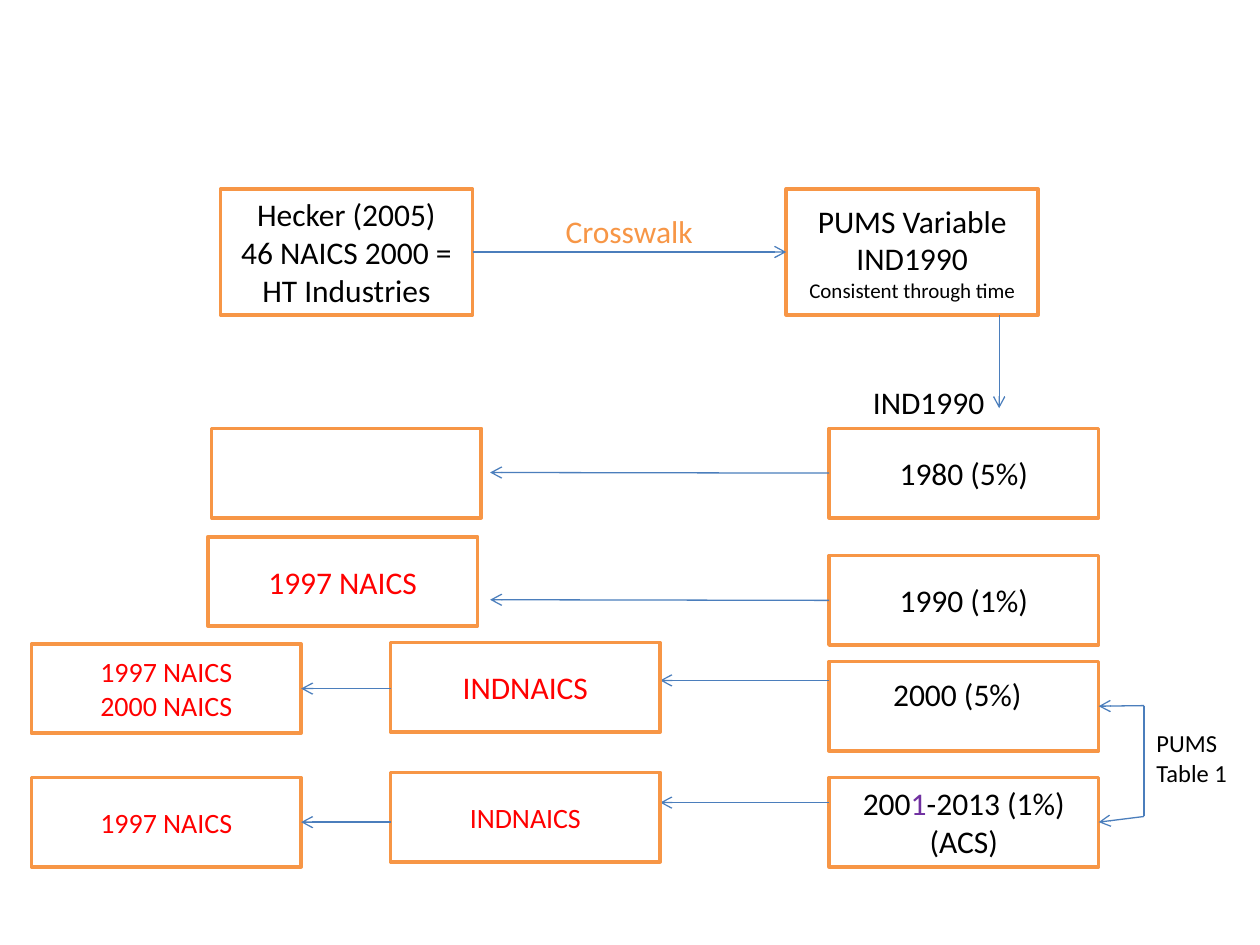
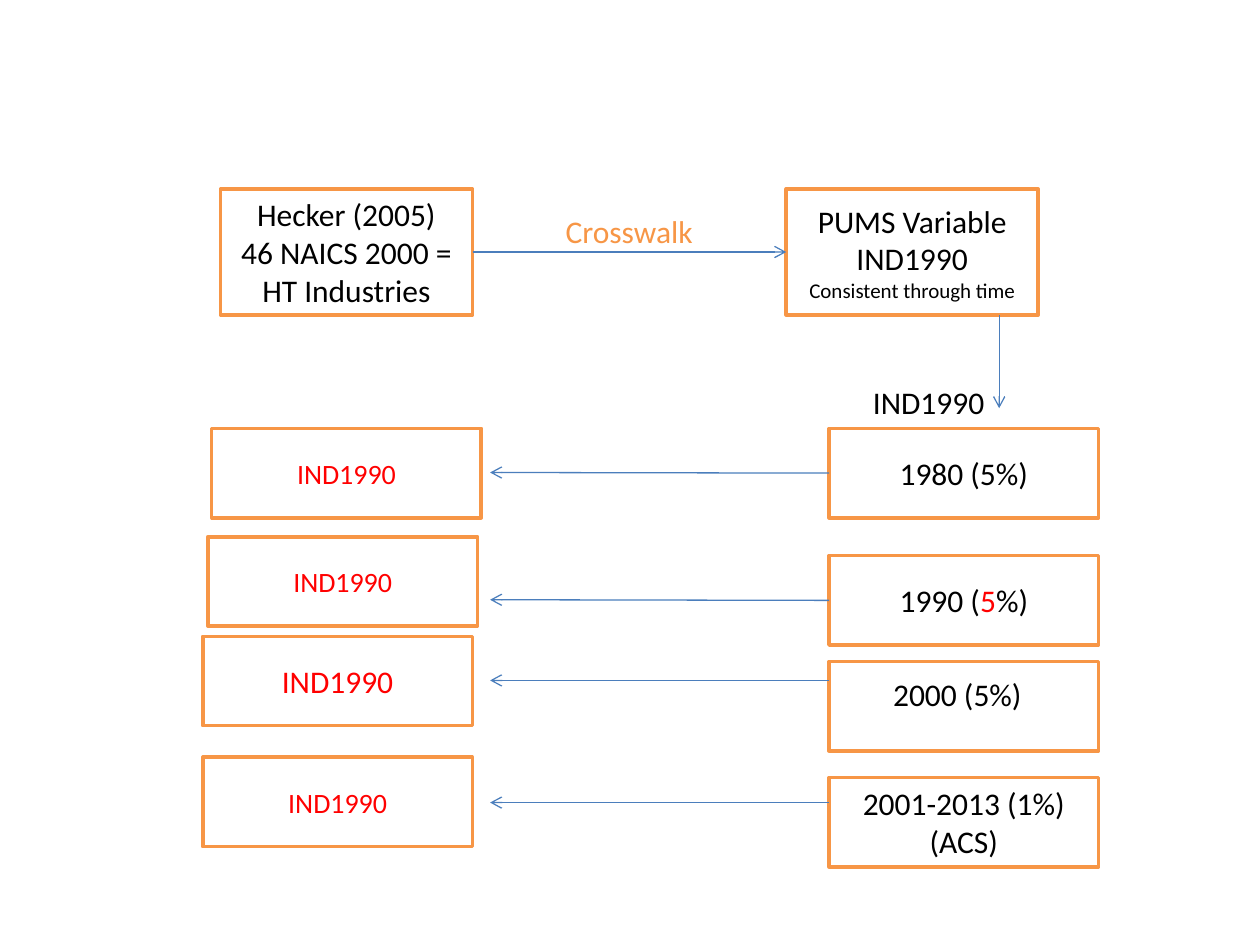
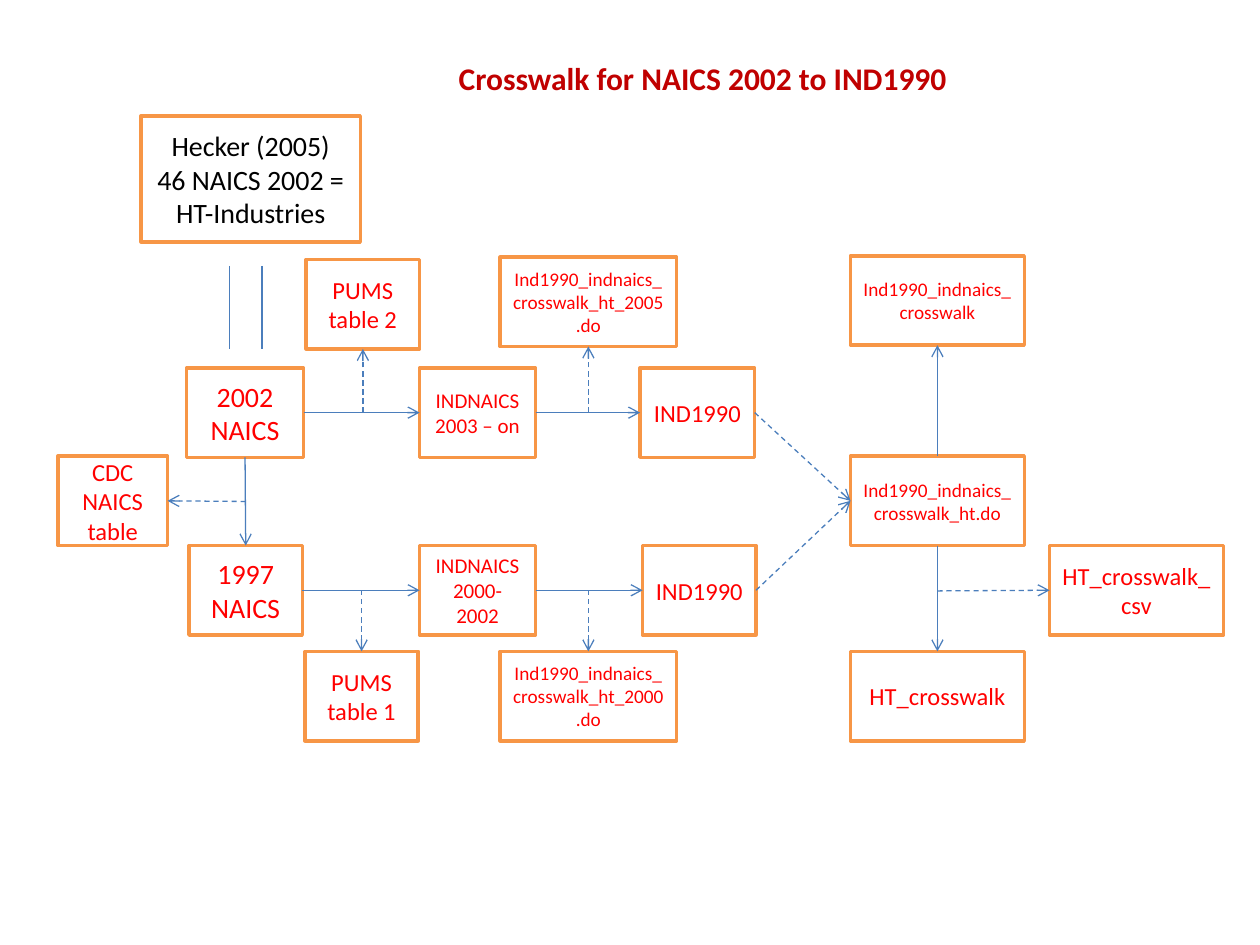
from dataclasses import dataclass

from lxml.etree import SubElement
from pptx import Presentation
from pptx.dml.color import RGBColor
from pptx.enum.dml import MSO_LINE
from pptx.enum.shapes import MSO_CONNECTOR, MSO_SHAPE
from pptx.enum.text import MSO_ANCHOR, MSO_AUTO_SIZE, PP_ALIGN
from pptx.oxml.ns import qn
from pptx.util import Inches, Pt


@dataclass(frozen=True)
class Theme:
    font: str = "Calibri"
    ink: str = "000000"
    paper: str = "FFFFFF"
    frame: str = "F79646"
    arrow: str = "4B7EBC"
    key: str = "FF0000"
    mark: str = "7030A0"
    title: str = "C00000"
    large: int = 18
    medium: int = 16
    small: int = 14
    note: int = 12
    tiny: int = 11
    edge: float = 2
    thin: float = 0.75


THEME = Theme()
WIDTH, HEIGHT = Inches(10), Inches(7.5)
COLS, ROWS = 10, 7.5
TALL = 0.71   # rows in a flow box
WIDE = 2.14   # columns in a year box
YEAR_COL = 6.58
YEAR_ROWS = (3.4, 4.41, 5.25, 6.17)
LINK_ROWS = (5.4, 6.37)
LEFT_STOP = 3.89
TOP, LEFT, BOTTOM, RIGHT = range(4)


def col(n):
    return round(n * WIDTH / COLS)


def row(n):
    return round(n * HEIGHT / ROWS)


def area(x, y, w, h):
    return col(x), row(y), col(w), row(h)


def rgb(code):
    return RGBColor.from_string(code)


def write(frame, lines, size, color, align):
    """Fill a frame; a line is a string or a list of (text, colour) runs."""
    for i, line in enumerate(lines):
        para = frame.paragraphs[0] if i == 0 else frame.add_paragraph()
        para.alignment = align
        para.font.name, para.font.size = THEME.font, Pt(size)
        para.font.color.rgb = rgb(color)
        if isinstance(line, str):
            para.text = line
            continue
        for text, tint in line:
            run = para.add_run()
            run.text = text
            run.font.color.rgb = rgb(tint)


def add_box(slide, x, y, w, h, *lines, size=THEME.large, color=THEME.key):
    box = slide.shapes.add_shape(MSO_SHAPE.RECTANGLE, *area(x, y, w, h))
    box.shadow.inherit = False
    box.fill.solid()
    box.fill.fore_color.rgb = rgb(THEME.paper)
    box.line.color.rgb = rgb(THEME.frame)
    box.line.width = Pt(THEME.edge)
    frame = box.text_frame
    frame.word_wrap = True
    frame.vertical_anchor = MSO_ANCHOR.MIDDLE
    write(frame, lines, size, color, PP_ALIGN.CENTER)
    return box


def add_label(slide, x, y, w, h, *lines, size=THEME.large, color=THEME.ink):
    frame = slide.shapes.add_textbox(*area(x, y, w, h)).text_frame
    frame.word_wrap = False
    write(frame, lines, size, color, PP_ALIGN.LEFT)


def add_link(slide, start, end, dash=False, head=True):
    """Draw a line; each end is a (column, row) point or a (box, side) pair."""
    ends = [p if isinstance(p[0], (int, float)) else (0, 0) for p in (start, end)]
    (x1, y1), (x2, y2) = ends
    line = slide.shapes.add_connector(
        MSO_CONNECTOR.STRAIGHT, col(x1), row(y1), col(x2), row(y2))
    for spot, join in ((start, line.begin_connect), (end, line.end_connect)):
        if not isinstance(spot[0], (int, float)):
            join(*spot)
    line.line.color.rgb = rgb(THEME.arrow)
    line.line.width = Pt(THEME.thin)
    if dash:
        line.line.dash_style = MSO_LINE.DASH
    if head:
        SubElement(line.line._get_or_add_ln(), qn("a:tailEnd"), type="arrow")
    SubElement(line._element.spPr, qn("a:effectLst"))


def add_title(slide, text):
    title = slide.shapes.title
    title.left, title.top, title.width, title.height = area(3.54, 0.42, 4.11, 0.4)
    frame = title.text_frame
    frame.word_wrap = False
    frame.auto_size = MSO_AUTO_SIZE.NONE
    frame.vertical_anchor = MSO_ANCHOR.MIDDLE
    write(frame, [text], THEME.large, THEME.title, PP_ALIGN.LEFT)
    frame.paragraphs[0].font.bold = True


def add_source(slide):
    """Draw the top row, from the industry list to the census variable."""
    hecker = add_box(slide, 1.75, 1.5, 2, 1, "Hecker (2005)",
                     "46 NAICS 2000 = HT Industries", color=THEME.ink)
    census = add_box(slide, 6.24, 1.5, 2, 1, "PUMS Variable", "IND1990",
                     "Consistent through time", color=THEME.ink)
    census.text_frame.paragraphs[-1].font.size = Pt(THEME.note)
    add_link(slide, (hecker, RIGHT), (census, LEFT))
    add_label(slide, 4.39, 1.63, 1.22, 0.4, "Crosswalk", color=THEME.frame)
    add_label(slide, 6.83, 2.99, 1.1, 0.4, "IND1990")
    add_link(slide, (7.93, 2.5), (7.93, 3.24))


def add_years(slide, nineties, survey, stop):
    """Draw the year boxes and their arrows; the lower two end at stop."""
    texts = (["1980 (5%)"], [nineties], [], [survey, "(ACS)"])
    boxes = [add_box(slide, YEAR_COL, y, WIDE, TALL, *text, color=THEME.ink)
             for y, text in zip(YEAR_ROWS, texts)]
    add_label(slide, 6.99, 5.31, 1.23, 0.4, "2000 (5%)")
    for box, y in zip(boxes, (3.75, 4.76)):
        add_link(slide, (box, LEFT), (LEFT_STOP, y))
    for y in LINK_ROWS:
        add_link(slide, (YEAR_COL, y), (stop, y))
    return boxes


def draw_naics(slide):
    add_source(slide)
    survey = [("200", THEME.ink), ("1", THEME.mark), ("-2013 (1%)", THEME.ink)]
    years = add_years(slide, "1990 (1%)", survey, 5.24)
    add_box(slide, 1.68, 3.4, WIDE, TALL)
    add_box(slide, 1.65, 4.26, WIDE, TALL, "1997 NAICS")
    flows = (
        (5.1, THEME.large, 5.11, ["1997 NAICS", "2000 NAICS"]),
        (6.13, THEME.medium, 6.17, ["1997 NAICS"]),
    )
    for y, size, end, codes in flows:
        add_box(slide, 3.1, y, WIDE, TALL, "INDNAICS", size=size)
        base = add_box(slide, 0.25, end, WIDE, TALL, *codes, size=THEME.medium)
        add_link(slide, (3.1, end + TALL / 2), (base, RIGHT))
    upper, lower = (9.08, 5.6), (9.08, 6.48)
    add_link(slide, upper, lower, head=False)
    add_link(slide, upper, (years[2], RIGHT))
    add_link(slide, lower, (years[3], RIGHT))
    add_label(slide, 9.08, 5.73, 0.77, 0.57, "PUMS", "Table 1", size=THEME.small)


def draw_ind(slide):
    add_source(slide)
    nineties = [("1990 (", THEME.ink), ("5", THEME.key), ("%)", THEME.ink)]
    add_years(slide, nineties, "2001-2013 (1%)", LEFT_STOP)
    places = ((1.68, 3.4, THEME.medium), (1.65, 4.26, THEME.medium),
              (1.61, 5.05, THEME.large), (1.61, 6.01, THEME.medium))
    for x, y, size in places:
        add_box(slide, x, y, WIDE, TALL, "IND1990", size=size)


def add_track(slide, y, code, span, file_row, table, do_file, side):
    """Draw one row of code, class and variable, with its files on one side."""
    mid = y + TALL / 2
    (code_x, code_w), (ind_x, ind_w), table_x = code, span, table[0]
    start = add_box(slide, code_x, y, code_w, TALL, table[1], size=THEME.medium)
    group = add_box(slide, 3.33, y, 0.92, TALL, "INDNAICS", table[2], size=THEME.note)
    ind = add_box(slide, ind_x, y, ind_w, TALL, "IND1990", size=THEME.small)
    add_link(slide, (start, RIGHT), (group, LEFT))
    add_link(slide, (group, RIGHT), (ind, LEFT))
    source = add_box(slide, table_x, file_row, 0.9, TALL, table[3], size=THEME.small)
    script = add_box(slide, 3.97, do_file[0], 1.4, TALL, do_file[1], size=THEME.tiny)
    add_link(slide, (table_x + 0.45, mid), (source, side), dash=True)
    add_link(slide, (4.67, mid), (script, side), dash=True)
    return start, ind


def draw_files(slide):
    add_title(slide, "Crosswalk for NAICS 2002 to IND1990")
    add_box(slide, 1.12, 0.92, 1.74, 1, "Hecker (2005)", "46 NAICS 2002 =",
            "HT-Industries", size=THEME.medium, color=THEME.ink)
    for x in (1.82, 2.08):
        add_link(slide, (x, 2.11), (x, 2.77), head=False)

    stem = "Ind1990_indnaics_crosswalk"
    new, new_ind = add_track(
        slide, 2.92, (1.48, 0.93), (5.08, 0.91), 2.06,
        (2.43, "2002 NAICS", "2003 – on", "PUMS table 2"),
        (2.04, f"{stem}_ht_2005.do"), BOTTOM)
    old, old_ind = add_track(
        slide, 4.33, (1.5, 0.9), (5.1, 0.9), 5.17,
        (2.42, "1997 NAICS", "2000-2002", "PUMS table 1"),
        (5.17, f"{stem}_ht_2000.do"), TOP)
    add_link(slide, (new, BOTTOM), (old, TOP))
    cdc = add_box(slide, 0.46, 3.62, 0.87, TALL, "CDC NAICS", "table", size=THEME.small)
    add_link(slide, (1.95, 3.98), (cdc, RIGHT), dash=True)

    merge = add_box(slide, 6.75, 3.62, 1.38, TALL, f"{stem}_ht.do", size=THEME.tiny)
    full = add_box(slide, 6.75, 2.03, 1.38, TALL, stem, size=THEME.tiny)
    tech = add_box(slide, 6.75, 5.17, 1.38, TALL, "HT_crosswalk", size=THEME.small)
    sheet = add_box(slide, 8.33, 4.33, 1.38, TALL, "HT_crosswalk_csv", size=THEME.small)
    for ind in (new_ind, old_ind):
        add_link(slide, (ind, RIGHT), (merge, LEFT), dash=True)
    add_link(slide, (merge, TOP), (full, BOTTOM))
    add_link(slide, (merge, BOTTOM), (tech, TOP))
    add_link(slide, (7.44, 4.69), (sheet, LEFT), dash=True)


def main():
    deck = Presentation()
    deck.slide_width, deck.slide_height = WIDTH, HEIGHT
    titled, blank = deck.slide_layouts[5], deck.slide_layouts[6]
    for draw, layout in ((draw_naics, blank), (draw_ind, blank), (draw_files, titled)):
        draw(deck.slides.add_slide(layout))
    deck.save("out.pptx")


if __name__ == "__main__":
    main()
